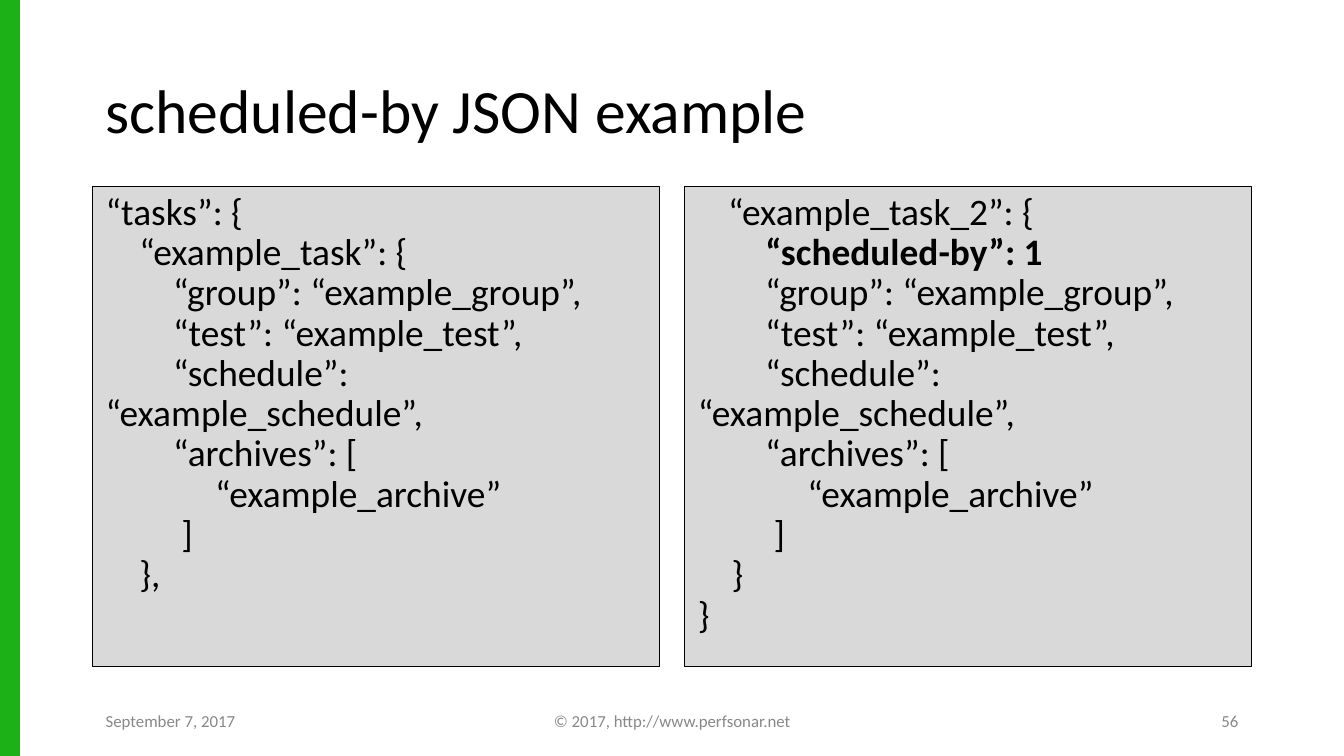
"""Build the slide that shows a scheduled-by example in two JSON panels."""
import pptx
import pptx.dml.color
import pptx.enum.shapes
import pptx.enum.text
import pptx.util

COLORS = {"accent": "1DB118", "panel": "D9D9D9", "ink": "000000", "muted": "888888"}
ALIGN = pptx.enum.text.PP_ALIGN
ANCHOR = pptx.enum.text.MSO_ANCHOR
WIDTH, HEIGHT = 960, 540
MARGIN = 66


class Deck:
    font = "Calibri"
    scale = 9525

    def __init__(self):
        self.presentation = pptx.Presentation()
        self.presentation.slide_width = self.px(WIDTH)
        self.presentation.slide_height = self.px(HEIGHT)
        self.slide = self.presentation.slides.add_slide(self.presentation.slide_layouts[6])

    def px(self, length):
        return pptx.util.Emu(length * self.scale)

    def color(self, name):
        return pptx.dml.color.RGBColor.from_string(COLORS[name])

    def rectangle(self, box, fill, line):
        rectangle = self.slide.shapes.add_shape(
            pptx.enum.shapes.MSO_SHAPE.RECTANGLE, *map(self.px, box))
        rectangle.shadow.inherit = False
        rectangle.fill.solid()
        rectangle.fill.fore_color.rgb = self.color(fill)
        rectangle.line.color.rgb = self.color(line)
        rectangle.line.width = pptx.util.Pt(0.75)
        return rectangle

    def fill_text(self, frame, lines, size, color, anchor, **paragraph_format):
        frame.word_wrap = True
        frame.vertical_anchor = anchor
        for index, line in enumerate(lines):
            paragraph = frame.add_paragraph() if index else frame.paragraphs[0]
            for name, value in paragraph_format.items():
                setattr(paragraph, name, value)
            for text, changes in line:
                run = paragraph.add_run()
                run.text = text
                run.font.color.rgb = self.color(color)
                style = {"name": self.font, "size": pptx.util.Pt(size), **changes}
                for name, value in style.items():
                    setattr(run.font, name, value)

    def label(self, box, text, size, color, **paragraph_format):
        label = self.slide.shapes.add_textbox(*map(self.px, box))
        self.fill_text(label.text_frame, [[(text, {})]], size, color, ANCHOR.MIDDLE,
                       **paragraph_format)

    def code(self, box, lines):
        panel = self.rectangle(box, "panel", "ink")
        self.fill_text(panel.text_frame, lines, 20, "ink", ANCHOR.TOP,
                       alignment=ALIGN.LEFT, line_spacing=0.9)


def plain(*texts):
    return [[(text, {})] for text in texts]


def main():
    deck = Deck()
    deck.rectangle((0, 0, 14, HEIGHT), "accent", "accent")
    deck.label((MARGIN, 29, WIDTH - 2 * MARGIN, 104), "scheduled-by JSON example", 33, "ink",
               line_spacing=0.9)

    task_body = plain(
        "        “group”: “example_group”,",
        "        “test”: “example_test”,",
        "        “schedule”: “example_schedule”,",
        "        “archives”: [",
        "             “example_archive”",
        "         ]",
    )
    first_task = plain("“tasks”: {", "    “example_task”: {") + task_body + plain("    },")
    second_task = [
        [("    ", {"size": pptx.util.Pt(18)}), ("“example_task_2”: {", {})],
        [("        ", {}), ("“scheduled-by”: 1", {"bold": True})],
    ] + task_body + plain("    }", "}")
    panel_width = 405
    for left, lines in ((MARGIN, first_task), (WIDTH - MARGIN - panel_width, second_task)):
        deck.code((left, 133, panel_width, 343), lines)

    footer = (
        (MARGIN, 216, "September 7, 2017", ALIGN.LEFT),
        (318, 324, "© 2017, http://www.perfsonar.net", ALIGN.CENTER),
        (678, 216, "56", ALIGN.RIGHT),
    )
    for left, width, text, alignment in footer:
        deck.label((left, 500, width, 29), text, 9, "muted", alignment=alignment)
    deck.presentation.save("out.pptx")


if __name__ == "__main__":
    main()
